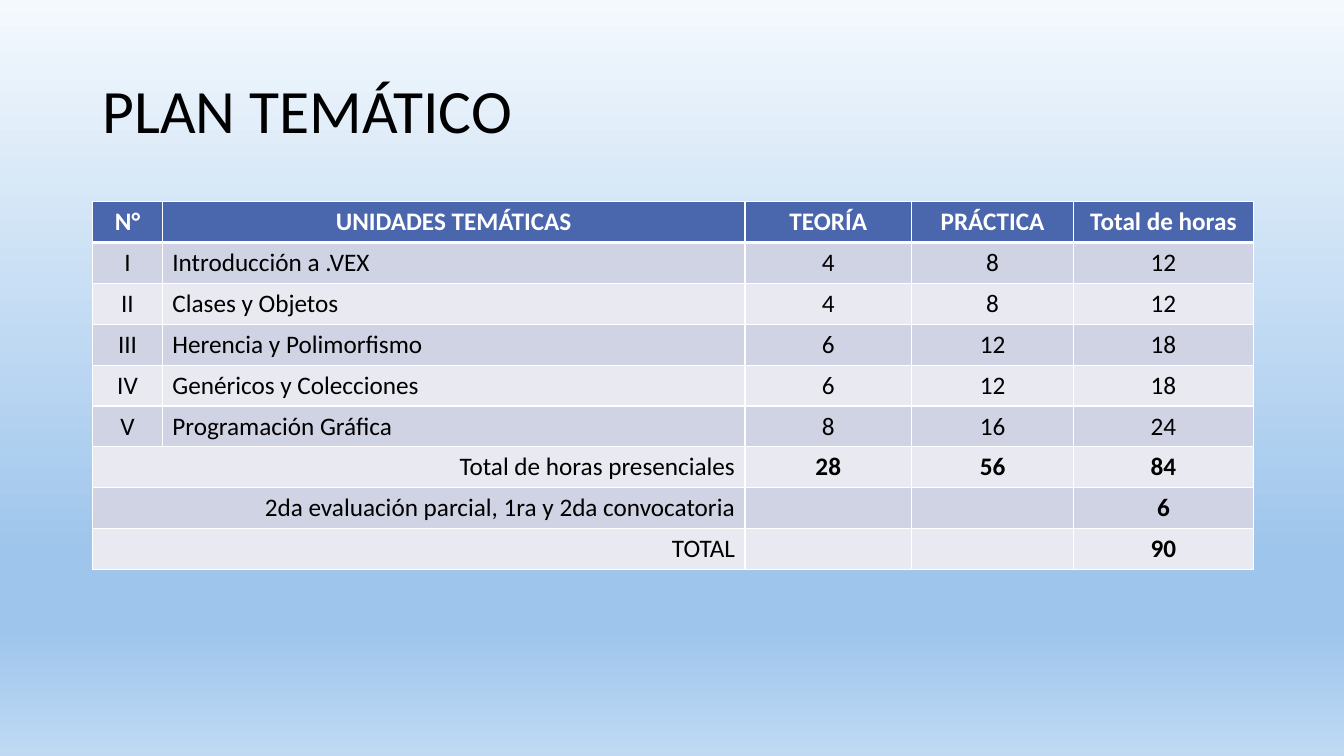
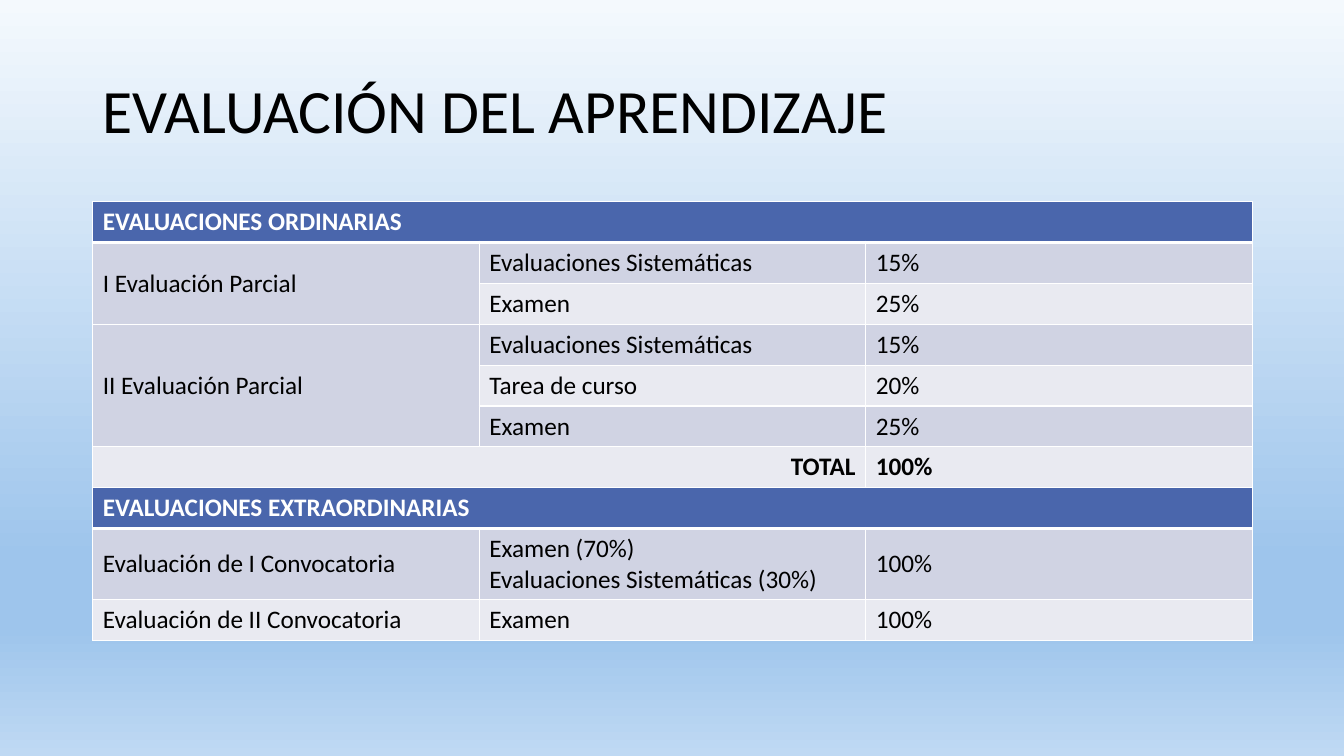
from lxml import etree
from pptx import Presentation
from pptx.dml.color import RGBColor
from pptx.enum.text import MSO_ANCHOR as ANCHOR, PP_ALIGN as ALIGN
from pptx.oxml import parse_xml
from pptx.oxml.ns import nsdecls, qn
from pptx.util import Inches, Pt

LEFT, CENTER, RIGHT = ALIGN.LEFT, ALIGN.CENTER, ALIGN.RIGHT
ACROSS, DOWN = "<", "^"  # the cell continues its left or upper neighbour

PLAN = [
    ["N°", "UNIDADES TEMÁTICAS", "TEORÍA", "PRÁCTICA", "Total de horas"],
    ["I", "Introducción a .VEX", "4", "8", "12"],
    ["II", "Clases y Objetos", "4", "8", "12"],
    ["III", "Herencia y Polimorfismo", "6", "12", "18"],
    ["IV", "Genéricos y Colecciones", "6", "12", "18"],
    ["V", "Programación Gráfica", "8", "16", "24"],
    ["Total de horas presenciales", ACROSS, "28", "56", "84"],
    ["2da evaluación parcial, 1ra y 2da convocatoria", ACROSS, "", "", "6"],
    ["TOTAL", ACROSS, "", "", "90"],
]
ORDINARY = [
    ["EVALUACIONES ORDINARIAS", ACROSS, ACROSS],
    ["I Evaluación Parcial", "Evaluaciones Sistemáticas", "15%"],
    [DOWN, "Examen", "25%"],
    ["II Evaluación Parcial", "Evaluaciones Sistemáticas", "15%"],
    [DOWN, "Tarea de curso", "20%"],
    [DOWN, "Examen", "25%"],
    ["TOTAL", ACROSS, "100%"],
]
EXTRAORDINARY = [
    ["EVALUACIONES EXTRAORDINARIAS", ACROSS, ACROSS],
    ["Evaluación de I Convocatoria",
     "Examen (70%)\nEvaluaciones Sistemáticas (30%)", "100%"],
    ["Evaluación de II Convocatoria", "Examen", "100%"],
]
PLAN_STYLE = {
    "widths": [0.69, 5.78, 1.65, 1.61, 1.78],
    "aligns": [CENTER, LEFT, CENTER, CENTER, CENTER],
    "head_align": CENTER, "anchor": ANCHOR.TOP, "bold_from": 2,
}
EVALUATION_STYLE = {
    "widths": [11.5 / 3] * 3, "aligns": [LEFT] * 3,
    "head_align": LEFT, "anchor": ANCHOR.MIDDLE, "bold_from": 0,
}
SLIDES = [
    ("PLAN TEMÁTICO", PLAN_STYLE, [PLAN]),
    ("EVALUACIÓN DEL APRENDIZAJE", EVALUATION_STYLE, [ORDINARY, EXTRAORDINARY]),
]

FONT = "Calibri"
BLACK, WHITE = RGBColor(0, 0, 0), RGBColor(255, 255, 255)
HEAD_BLUE = RGBColor(0x4A, 0x66, 0xAC)
BANDS = [RGBColor(0xE9, 0xEA, 0xF1), RGBColor(0xD0, 0xD3, 0xE3)]
SKY = [(0, RGBColor(0xF4, 0xF9, 0xFD)), (74, RGBColor(0x9E, 0xC5, 0xEC)),
       (83, RGBColor(0x9E, 0xC5, 0xEC)), (100, RGBColor(0xBF, 0xD9, 0xF3))]
MARGIN, TABLE_TOP, CONTENT_WIDTH = 0.92, 2, 11.5
ROW_HEIGHT, EXTRA_LINE = 3.65 / 9, 0.28
FIRST_TOTAL = 6


def set_font(font, **values):
    """Apply the shared typeface and the given format values."""
    color = values.pop("color")
    for key, value in {"name": FONT, **values}.items():
        setattr(font, key, value)
    font.color.rgb = color


def paint_sky(slide):
    """Fill the background with the shared vertical gradient."""
    fill = slide.background.fill
    fill.gradient()
    fill.gradient_angle = 270
    stops = slide.background._cSld.find(".//" + qn("a:gsLst"))
    for stop in list(stops):
        stops.remove(stop)
    for percent, color in SKY:
        stop = etree.SubElement(stops, qn("a:gs"), pos=str(percent * 1000))
        etree.SubElement(stop, qn("a:srgbClr"), val=str(color))


def add_title(slide, title):
    """Write the slide title."""
    box = slide.shapes.add_textbox(
        Inches(MARGIN), Inches(0.4), Inches(CONTENT_WIDTH), Inches(1.45))
    frame = box.text_frame
    frame.word_wrap = True
    frame.vertical_anchor = ANCHOR.MIDDLE
    line = frame.paragraphs[0]
    line.line_spacing = 0.9
    run = line.add_run()
    run.text = title
    set_font(run.font, size=Pt(44), color=BLACK)


def add_borders(cell, row):
    """Draw white cell borders, with a thick rule under the heading row."""
    points = {"L": 1, "R": 1, "T": 3 if row == 1 else 1, "B": 3 if row == 0 else 1}
    properties = cell._tc.get_or_add_tcPr()
    for side, width in points.items():
        properties.append(parse_xml(
            f'<a:ln{side} {nsdecls("a")} w="{Pt(width)}"><a:solidFill>'
            f'<a:srgbClr val="{WHITE}"/></a:solidFill></a:ln{side}>'))


def fill_cell(cell, text, row, column, style):
    """Format one cell by its row role and write its text."""
    heading, total = row == 0, row >= FIRST_TOTAL
    align = style["aligns"][column]
    if heading:
        align = style["head_align"]
    elif total and column == 0:
        align = RIGHT
    add_borders(cell, row)
    cell.fill.solid()
    cell.fill.fore_color.rgb = HEAD_BLUE if heading else BANDS[row % 2]
    cell.vertical_anchor = style["anchor"]
    if text in (ACROSS, DOWN):
        return
    cell.text = text
    for line in cell.text_frame.paragraphs:
        line.alignment = align
        for run in line.runs:
            set_font(run.font, size=Pt(18), color=WHITE if heading else BLACK,
                     bold=heading or (total and column >= style["bold_from"]))


def merge_cells(table, rows):
    """Join each cell with the continuation marks after it."""
    for r, texts in enumerate(rows):
        for c, text in enumerate(texts):
            if text in (ACROSS, DOWN):
                continue
            right, bottom = c, r
            while right + 1 < len(texts) and texts[right + 1] == ACROSS:
                right += 1
            while bottom + 1 < len(rows) and rows[bottom + 1][c] == DOWN:
                bottom += 1
            if (right, bottom) != (c, r):
                table.cell(r, c).merge(table.cell(bottom, right))


def add_grid(slide, rows, style, top):
    """Add a table and return the position of its lower edge."""
    heights = [ROW_HEIGHT + EXTRA_LINE * max(t.count("\n") for t in texts)
               for texts in rows]
    table = slide.shapes.add_table(
        len(rows), len(rows[0]), Inches(MARGIN), Inches(top),
        Inches(CONTENT_WIDTH), Inches(sum(heights))).table
    table.first_row = table.horz_banding = False
    for column, width in zip(table.columns, style["widths"]):
        column.width = Inches(width)
    for r, (texts, height) in enumerate(zip(rows, heights)):
        table.rows[r].height = Inches(height)
        for c, text in enumerate(texts):
            fill_cell(table.cell(r, c), text, r, c, style)
    merge_cells(table, rows)
    return top + sum(heights)


def build():
    """Build both slides and save the presentation."""
    deck = Presentation()
    deck.slide_width, deck.slide_height = Inches(13.33), Inches(7.5)
    for title, style, grids in SLIDES:
        slide = deck.slides.add_slide(deck.slide_layouts[6])
        paint_sky(slide)
        add_title(slide, title)
        top = TABLE_TOP
        for rows in grids:
            top = add_grid(slide, rows, style, top)
    deck.save("out.pptx")


build()
